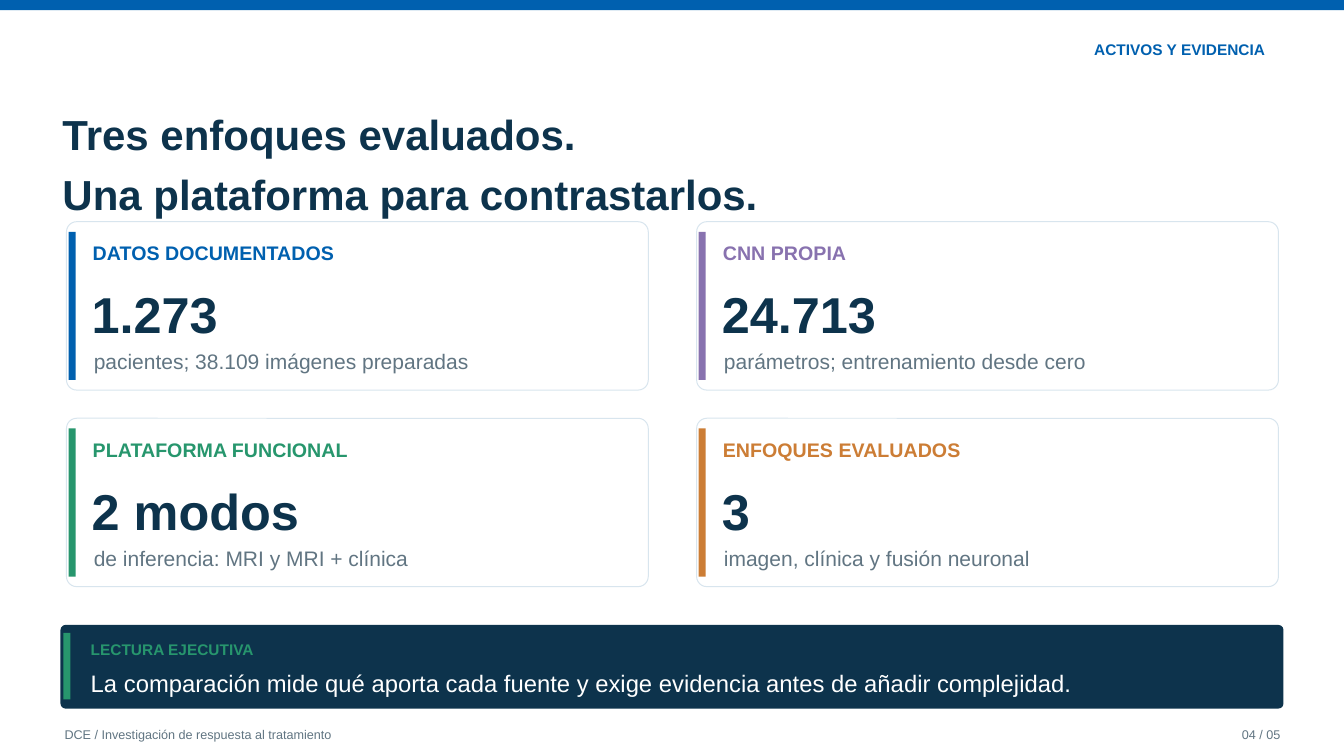
from pptx import Presentation
from pptx.dml.color import RGBColor
from pptx.enum.shapes import MSO_SHAPE
from pptx.enum.text import MSO_AUTO_SIZE, PP_ALIGN
from pptx.util import Emu, Pt

PX = 9144
SLIDE_WIDTH, SLIDE_HEIGHT = 1333, 750
BLUE = RGBColor(0x00, 0x60, 0xAF)
NAVY = RGBColor(0x0D, 0x33, 0x4C)
GRAY = RGBColor(0x61, 0x75, 0x82)
PURPLE = RGBColor(0x88, 0x72, 0xAF)
GREEN = RGBColor(0x27, 0x96, 0x6D)
ORANGE = RGBColor(0xCC, 0x7D, 0x35)
BORDER = RGBColor(0xD8, 0xE5, 0xEE)
WHITE = RGBColor(0xFF, 0xFF, 0xFF)

CARD_WIDTH, CARD_HEIGHT = 577, 167
CARD_LEFT, CARD_TOP = 66, 220
COLUMN_STEP, ROW_STEP = 625, 195
METRICS = [
    ("DATOS DOCUMENTADOS", "1.273", "pacientes; 38.109 imágenes preparadas", BLUE),
    ("CNN PROPIA", "24.713", "parámetros; entrenamiento desde cero", PURPLE),
    ("PLATAFORMA FUNCIONAL", "2 modos", "de inferencia: MRI y MRI + clínica", GREEN),
    ("ENFOQUES EVALUADOS", "3", "imagen, clínica y fusión neuronal", ORANGE),
]


def to_emu(*lengths):
    """Turn px lengths into EMU."""
    return [Emu(length * PX) for length in lengths]


def add_panel(slide, box, fill, border=None, rounded=False):
    """Draw a filled rectangle, optionally rounded and bordered."""
    kind = MSO_SHAPE.ROUNDED_RECTANGLE if rounded else MSO_SHAPE.RECTANGLE
    panel = slide.shapes.add_shape(kind, *to_emu(*box))
    panel.shadow.inherit = False
    panel.fill.solid()
    panel.fill.fore_color.rgb = fill
    if rounded:
        panel.adjustments[0] = 0.06
    if border is None:
        panel.line.fill.background()
    else:
        panel.line.color.rgb = border
        panel.line.width = Pt(0.7)


def add_text(slide, box, text, size, color, bold=False, align=PP_ALIGN.LEFT):
    """Write text without margins, one paragraph per line."""
    frame = slide.shapes.add_textbox(*to_emu(*box)).text_frame
    frame.margin_left = frame.margin_top = frame.margin_right = frame.margin_bottom = 0
    frame.word_wrap = True
    frame.auto_size = MSO_AUTO_SIZE.SHAPE_TO_FIT_TEXT
    frame.text = text
    for paragraph in frame.paragraphs:
        paragraph.alignment = align
        paragraph.space_after = Pt(5)
        paragraph.line_spacing = 1.05
        for run in paragraph.runs:
            run.font.name = "Arial"
            run.font.size = Pt(size)
            run.font.bold = bold
            run.font.color.rgb = color


def add_header(slide, box):
    """Place the top band, section label and title."""
    left, top, width, _ = box
    add_panel(slide, (left, top, width, 10), BLUE)
    add_text(slide, (left + 820, top + 39, 435, 26), "ACTIVOS Y EVIDENCIA", 11, BLUE,
             bold=True, align=PP_ALIGN.RIGHT)
    add_text(slide, (left + 62, top + 105, 1210, 94),
             "Tres enfoques evaluados.\nUna plataforma para contrastarlos.", 30, NAVY, bold=True)


def add_metric_card(slide, box, label, figure, detail, accent):
    """Place one metric card with its accent bar."""
    left, top, _, height = box
    add_panel(slide, box, WHITE, border=BORDER, rounded=True)
    add_panel(slide, (left + 2, top + 10, 7, height - 20), accent)
    add_text(slide, (left + 26, top + 18, 510, 26), label, 14, accent, bold=True)
    add_text(slide, (left + 25, top + 58, 490, 61), figure, 36, NAVY, bold=True)
    add_text(slide, (left + 27, top + 125, 505, 27), detail, 15, GRAY)


def add_takeaway(slide, box):
    """Place the dark takeaway banner."""
    left, top, _, _ = box
    add_panel(slide, box, NAVY, rounded=True)
    add_panel(slide, (left + 3, top + 8, 7, 66), GREEN)
    add_text(slide, (left + 30, top + 14, 300, 20), "LECTURA EJECUTIVA", 11, GREEN, bold=True)
    add_text(slide, (left + 30, top + 42, 1145, 35),
             "La comparación mide qué aporta cada fuente y exige evidencia "
             "antes de añadir complejidad.", 17, WHITE)


def add_footer(slide, box):
    """Place the project name and page number."""
    left, top, width, height = box
    add_text(slide, (left, top, 1000, height),
             "DCE / Investigación de respuesta al tratamiento", 9, GRAY)
    add_text(slide, (left + width - 70, top, 70, height), "04 / 05", 9, GRAY,
             align=PP_ALIGN.RIGHT)


def main():
    """Build and save the slide."""
    deck = Presentation()
    deck.slide_width, deck.slide_height = to_emu(SLIDE_WIDTH, SLIDE_HEIGHT)
    slide = deck.slides.add_slide(deck.slide_layouts[6])
    add_header(slide, (0, 0, SLIDE_WIDTH, 210))
    for index, metric in enumerate(METRICS):
        row, column = divmod(index, 2)
        card = (CARD_LEFT + column * COLUMN_STEP, CARD_TOP + row * ROW_STEP,
                CARD_WIDTH, CARD_HEIGHT)
        add_metric_card(slide, card, *metric)
    add_takeaway(slide, (60, 620, 1213, 83))
    add_footer(slide, (64, 720, 1206, 20))
    deck.save("out.pptx")


if __name__ == "__main__":
    main()
